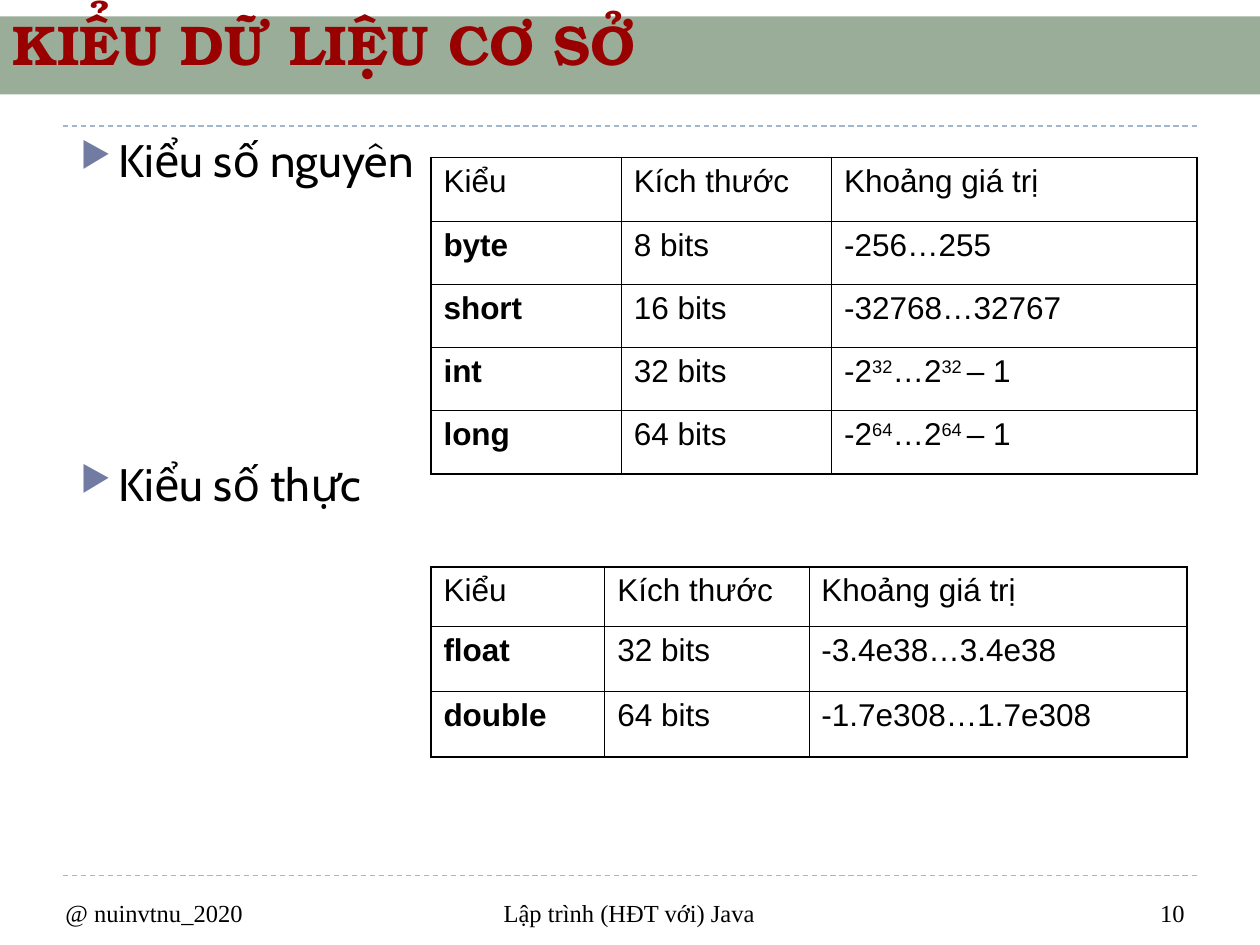
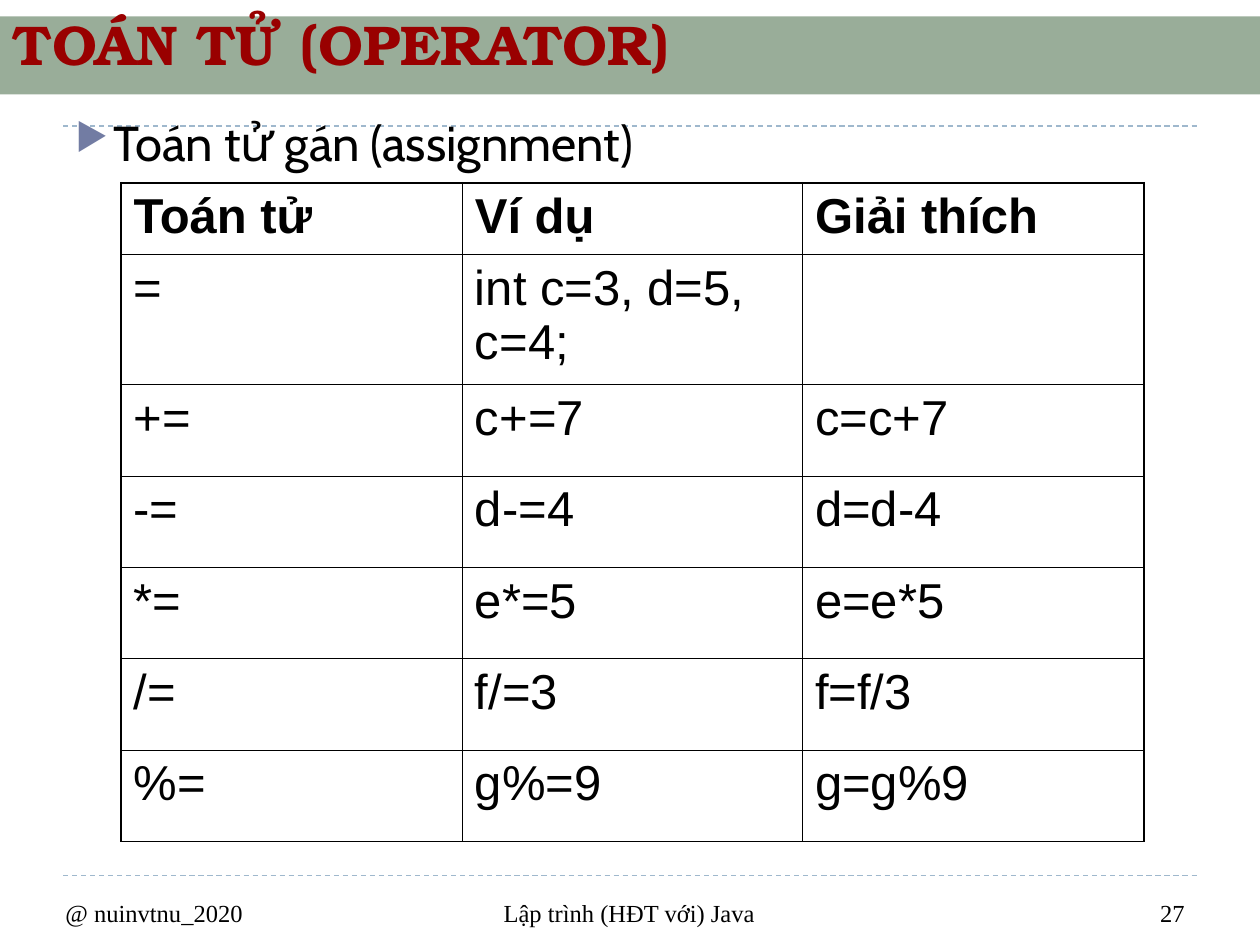
from dataclasses import dataclass
from itertools import product

from lxml.etree import SubElement
from pptx import Presentation
from pptx.dml.color import RGBColor
from pptx.enum.dml import MSO_LINE
from pptx.enum.shapes import MSO_CONNECTOR, MSO_SHAPE
from pptx.enum.text import MSO_ANCHOR, MSO_AUTO_SIZE, PP_ALIGN
from pptx.oxml.ns import qn
from pptx.presentation import Presentation as Deck
from pptx.slide import Slide
from pptx.table import _Cell
from pptx.text.text import _Paragraph
from pptx.util import Inches, Pt

CELL = 0.1  # inches per grid unit: the slide is 100 columns by 75 rows
COLUMNS, ROWS = 100, 75
TITLE_ONLY = 5


@dataclass(frozen=True)
class TextStyle:
    font: str
    size: float
    color: str = "000000"
    bold: bool = False


@dataclass(frozen=True)
class Theme:
    band: str = "003300"
    band_opacity: int = 40
    rule: str = "9FB8CD"
    rule_width: float = 0.75
    bullet: str = "727CA3"
    bullet_percent: int = 76
    bullet_gap: float = 6
    border: str = "000000"
    inner_border: float = 0.45
    outer_border: float = 1.08
    title: TextStyle = TextStyle("TeX Gyre Bonum", 32, "990000", True)
    footer: TextStyle = TextStyle("Times New Roman", 14)
    body_font: str = "Cabin"
    table_font: str = "Arial"


THEME = Theme()


@dataclass(frozen=True)
class Area:
    """A rectangle in grid columns and rows."""
    left: float
    top: float
    width: float
    height: float

    def lengths(self) -> tuple[int, int, int, int]:
        return (grid(self.left), grid(self.top), grid(self.width), grid(self.height))


@dataclass(frozen=True)
class Topic:
    text: str
    space_before: float = THEME.bullet_gap


@dataclass(frozen=True)
class TopicList:
    area: Area
    size: float
    topics: tuple[Topic, ...]


@dataclass(frozen=True)
class DataTable:
    """Rows of text, where ^...^ marks a superscript."""
    left: float
    top: float
    widths: tuple[float, ...]
    heights: tuple[float, ...]
    size: float
    rows: tuple[tuple[str, ...], ...]
    bold_header: bool = False
    bold_first_column: bool = False


@dataclass(frozen=True)
class Lesson:
    title: str
    number: int
    topic_list: TopicList
    tables: tuple[DataTable, ...]


@dataclass(frozen=True)
class Footer:
    area: Area
    align: PP_ALIGN


BAND = Area(0, 1.3, COLUMNS, 6.2)
TITLE = Area(0, 2.4, COLUMNS, 4.2)
RULE_ROWS = (69.5, 10)
RULE_MARGIN = 5
FOOTERS = (
    Footer(Area(4.2, 70.8, 20.8, 3.3), PP_ALIGN.LEFT),
    Footer(Area(30.8, 70.8, 38.3, 3.3), PP_ALIGN.CENTER),
    Footer(Area(74.2, 70.8, 20.8, 3.3), PP_ALIGN.RIGHT),
)
AUTHOR, COURSE = "@ nuinvtnu_2020", "Lập trình (HĐT với) Java"
TYPE_HEADER = ("Kiểu", "Kích thước", "Khoảng giá trị")

LESSONS = (
    Lesson(
        "KIỂU DỮ LIỆU CƠ SỞ", 10,
        TopicList(Area(5.4, 10, 87.5, 50.8), 26,
                  (Topic("Kiểu số nguyên"), Topic("Kiểu số thực", 154))),
        (
            DataTable(34.2, 12.5, (15.1, 16.7, 29), (5.1, 5, 5, 5, 5), 18, (
                TYPE_HEADER,
                ("byte", "8 bits", "-256…255"),
                ("short", "16 bits", "-32768…32767"),
                ("int", "32 bits", "-2^32^…2^32 ^– 1"),
                ("long", "64 bits", "-2^64^…2^64 ^– 1"),
            ), bold_first_column=True),
            DataTable(34.2, 45, (13.8, 16.2, 30), (4.7, 5.2, 5.2), 18, (
                TYPE_HEADER,
                ("float", "32 bits", "-3.4e38…3.4e38"),
                ("double", "64 bits", "-1.7e308…1.7e308"),
            ), bold_first_column=True),
        ),
    ),
    Lesson(
        "TOÁN TỬ (OPERATOR)", 27,
        TopicList(Area(5, 8.4, 91.9, 10), 28, (Topic("Toán tử gán (assignment)"),)),
        (
            DataTable(9.6, 14.5, (27.1, 27, 27.1), (5.7, 10.3) + (7.25,) * 5, 28, (
                ("Toán tử", "Ví dụ", "Giải thích"),
                ("=", "int c=3, d=5, c=4;", ""),
                ("+=", "c+=7", "c=c+7"),
                ("-=", "d-=4", "d=d-4"),
                ("*=", "e*=5", "e=e*5"),
                ("/=", "f/=3", "f=f/3"),
                ("%=", "g%=9", "g=g%9"),
            ), bold_header=True),
        ),
    ),
)


def grid(units: float) -> int:
    return Inches(units * CELL)


def style_paragraph(paragraph: _Paragraph, style: TextStyle) -> None:
    font = paragraph.font
    font.name, font.size, font.bold = style.font, Pt(style.size), style.bold
    font.color.rgb = RGBColor.from_string(style.color)


def add_rule(slide: Slide, row: float) -> None:
    rule = slide.shapes.add_connector(
        MSO_CONNECTOR.STRAIGHT, grid(RULE_MARGIN), grid(row),
        grid(COLUMNS - RULE_MARGIN), grid(row))
    rule.line.color.rgb = RGBColor.from_string(THEME.rule)
    rule.line.width = Pt(THEME.rule_width)
    rule.line.dash_style = MSO_LINE.DASH
    SubElement(rule.element.spPr, qn("a:effectLst"))


def add_band(slide: Slide) -> None:
    band = slide.shapes.add_shape(MSO_SHAPE.RECTANGLE, *BAND.lengths())
    band.shadow.inherit = False
    band.line.fill.background()
    band.fill.solid()
    band.fill.fore_color.rgb = RGBColor.from_string(THEME.band)
    color = band.element.spPr.find(qn("a:solidFill"))[0]
    SubElement(color, qn("a:alpha"), val=str(THEME.band_opacity * 1000))


def place_title(slide: Slide, text: str) -> None:
    """Fill the title placeholder and bring it in front of the band."""
    title = slide.shapes.title
    title.left, title.top, title.width, title.height = TITLE.lengths()
    frame = title.text_frame
    frame.text = text
    frame.auto_size = MSO_AUTO_SIZE.NONE
    frame.vertical_anchor = MSO_ANCHOR.BOTTOM
    frame.paragraphs[0].alignment = PP_ALIGN.LEFT
    style_paragraph(frame.paragraphs[0], THEME.title)
    title.element.getparent().append(title.element)


def add_bullet(paragraph: _Paragraph) -> None:
    properties = paragraph._p.get_or_add_pPr()
    properties.set("marL", str(Inches(0.3)))
    properties.set("indent", str(-Inches(0.3)))
    color = SubElement(properties, qn("a:buClr"))
    SubElement(color, qn("a:srgbClr"), val=THEME.bullet)
    SubElement(properties, qn("a:buSzPct"), val=str(THEME.bullet_percent * 1000))
    SubElement(properties, qn("a:buChar"), char="▶")


def add_topics(slide: Slide, topic_list: TopicList) -> None:
    frame = slide.shapes.add_textbox(*topic_list.area.lengths()).text_frame
    frame.word_wrap = True
    for index, topic in enumerate(topic_list.topics):
        paragraph = frame.add_paragraph() if index else frame.paragraphs[0]
        paragraph.text = topic.text
        add_bullet(paragraph)
        paragraph.space_before = Pt(topic.space_before)
        style_paragraph(paragraph, TextStyle(THEME.body_font, topic_list.size))


def add_marked_text(paragraph: _Paragraph, text: str) -> None:
    """Add runs, raising each part enclosed in ^ marks."""
    for index, part in enumerate(text.split("^")):
        run = paragraph.add_run()
        run.text = part
        if index % 2:
            run._r.get_or_add_rPr().set("baseline", "30000")


def draw_borders(cell: _Cell, outer_sides: dict[str, bool]) -> None:
    properties = cell._tc.get_or_add_tcPr()
    for side, is_outer in outer_sides.items():
        width = THEME.outer_border if is_outer else THEME.inner_border
        border = SubElement(properties, qn(f"a:ln{side}"), w=str(Pt(width)))
        fill = SubElement(border, qn("a:solidFill"))
        SubElement(fill, qn("a:srgbClr"), val=THEME.border)


def add_data_table(slide: Slide, data: DataTable) -> None:
    row_count, column_count = len(data.heights), len(data.widths)
    area = Area(data.left, data.top, sum(data.widths), sum(data.heights))
    table = slide.shapes.add_table(row_count, column_count, *area.lengths()).table
    table.first_row = table.horz_banding = False
    for column, width in zip(table.columns, data.widths):
        column.width = grid(width)
    for row, height in zip(table.rows, data.heights):
        row.height = grid(height)
    for r, c in product(range(row_count), range(column_count)):
        cell = table.cell(r, c)
        draw_borders(cell, {"L": c == 0, "R": c == column_count - 1,
                            "T": r == 0, "B": r == row_count - 1})
        cell.fill.background()
        paragraph = cell.text_frame.paragraphs[0]
        if data.rows[r][c]:
            add_marked_text(paragraph, data.rows[r][c])
        paragraph.space_before = Pt(data.size / 4)
        bold = data.bold_header if r == 0 else data.bold_first_column and c == 0
        style_paragraph(paragraph, TextStyle(THEME.table_font, data.size, bold=bold))


def add_footers(slide: Slide, number: int) -> None:
    for footer, text in zip(FOOTERS, (AUTHOR, COURSE, str(number))):
        frame = slide.shapes.add_textbox(*footer.area.lengths()).text_frame
        frame.word_wrap = True
        paragraph = frame.paragraphs[0]
        paragraph.text = text
        paragraph.alignment = footer.align
        style_paragraph(paragraph, THEME.footer)


def add_lesson(deck: Deck, lesson: Lesson) -> None:
    slide = deck.slides.add_slide(deck.slide_layouts[TITLE_ONLY])
    for row in RULE_ROWS:
        add_rule(slide, row)
    add_band(slide)
    place_title(slide, lesson.title)
    add_topics(slide, lesson.topic_list)
    for data in lesson.tables:
        add_data_table(slide, data)
    add_footers(slide, lesson.number)


def main() -> None:
    deck = Presentation()
    deck.slide_width, deck.slide_height = grid(COLUMNS), grid(ROWS)
    for lesson in LESSONS:
        add_lesson(deck, lesson)
    deck.save("out.pptx")


if __name__ == "__main__":
    main()
